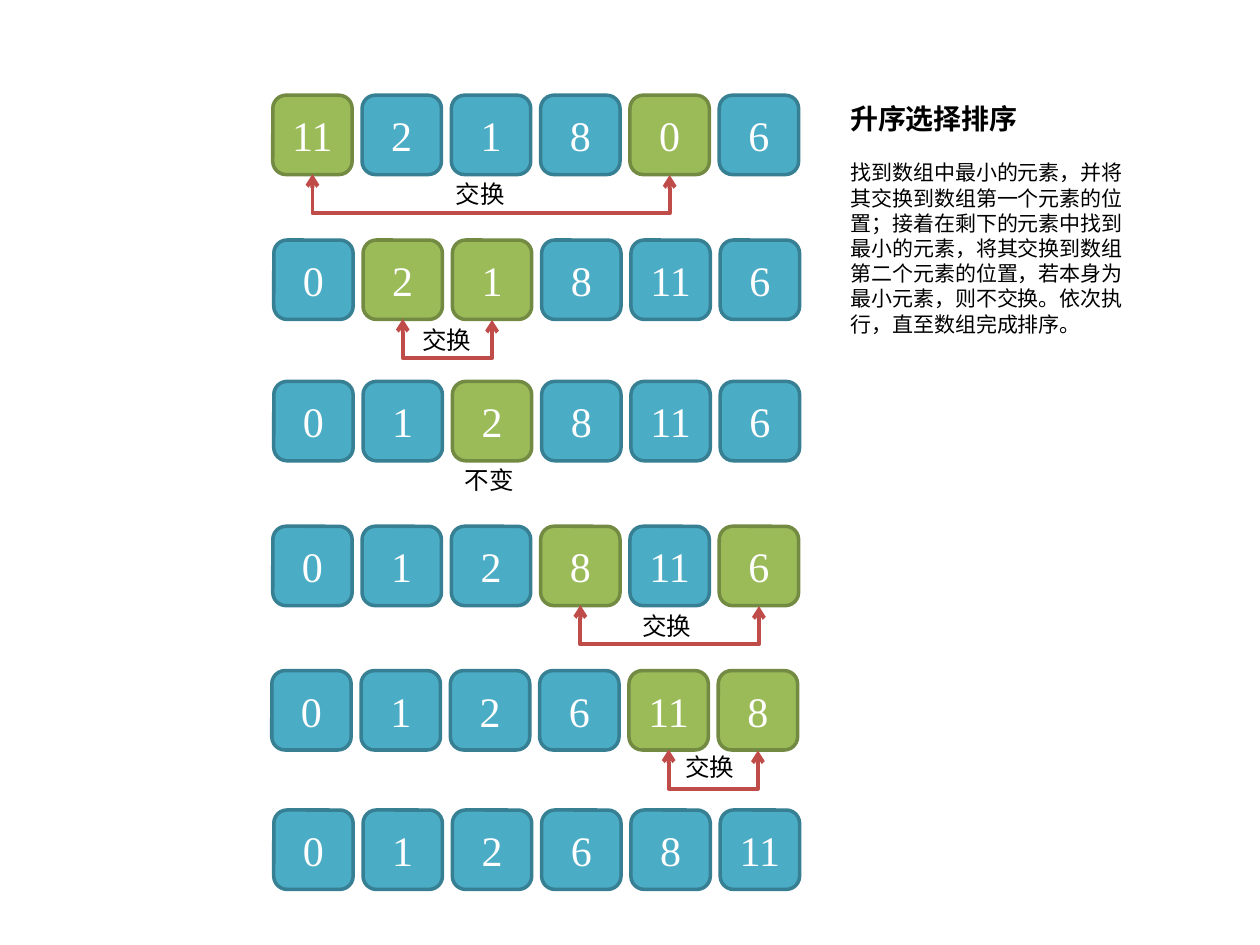
from dataclasses import dataclass

from lxml.etree import SubElement
from pptx import Presentation
from pptx.dml.color import RGBColor
from pptx.enum.shapes import MSO_CONNECTOR, MSO_SHAPE
from pptx.enum.text import MSO_ANCHOR, PP_ALIGN
from pptx.oxml.ns import qn
from pptx.util import Cm, Pt


@dataclass(frozen=True)
class Theme:
    blue: RGBColor = RGBColor(0x4B, 0xAC, 0xC6)
    blue_edge: RGBColor = RGBColor(0x37, 0x7F, 0x92)
    green: RGBColor = RGBColor(0x9B, 0xBB, 0x59)
    green_edge: RGBColor = RGBColor(0x73, 0x8A, 0x42)
    red: RGBColor = RGBColor(0xBF, 0x4C, 0x48)
    black: RGBColor = RGBColor(0, 0, 0)
    white: RGBColor = RGBColor(255, 255, 255)
    number_font: str = "Times New Roman"
    text_font: str = "Noto Sans CJK JP"
    number_size: int = 24
    title_size: int = 16
    label_size: int = 14
    body_size: int = 12
    cell_line: float = 2
    arrow_line: float = 2.25


theme = Theme()


def write(paragraph, text, *, size, font=theme.text_font, color=theme.black,
          bold=False, align=PP_ALIGN.LEFT, space_before=0):
    paragraph.alignment = align
    paragraph.line_spacing = Pt(size * 1.2)
    paragraph.space_before = Pt(space_before)
    run = paragraph.add_run()
    run.text = text
    run.font.size = Pt(size)
    run.font.bold = bold
    run.font.color.rgb = color
    run.font.name = font
    SubElement(run.font._element, qn("a:ea"), typeface=font)


def add_swap_arrow(slide, start, end, top, drop=0.79, offset=0.02):
    """Draw a U-shaped double arrow below two cells; lengths in cm."""
    # The elbow lies on its side, so it is built upright and turned by 270 degrees
    middle, half = (start + end) / 2, (end - start) / 2
    connector = slide.shapes.add_connector(
        MSO_CONNECTOR.ELBOW,
        Cm(middle + offset / 2), Cm(top - half),
        Cm(middle - offset / 2), Cm(top + half))
    connector.rotation = 270
    connector.line.color.rgb = theme.red
    connector.line.width = Pt(theme.arrow_line)
    properties = connector._element.spPr
    adjustments = properties.find(qn("a:prstGeom")).get_or_add_avLst()
    SubElement(adjustments, qn("a:gd"), name="adj1",
               fmla=f"val {round(drop / offset * 100000)}")
    line = properties.find(qn("a:ln"))
    for tag in ("a:headEnd", "a:tailEnd"):
        SubElement(line, qn(tag), type="arrow")
    SubElement(properties, qn("a:effectLst"))


presentation = Presentation()
presentation.slide_width = Cm(25.4)
presentation.slide_height = Cm(19.05)
slide = presentation.slides.add_slide(presentation.slide_layouts[6])

# Sorting steps: left, top, values, highlighted cells, label, label left, label top
cell_size, pitch = 1.6, 1.8
steps = [
    (5.5, 1.92, (11, 2, 1, 8, 0, 6), (0, 4), "交换", 8.94, 3.48),
    (5.52, 4.84, (0, 2, 1, 8, 11, 6), (1, 2), "交换", 8.26, 6.43),
    (5.52, 7.69, (0, 1, 2, 8, 11, 6), (2,), "不变", 9.12, 9.25),
    (5.5, 10.61, (0, 1, 2, 8, 11, 6), (3, 5), "交换", 12.7, 12.19),
    (5.48, 13.52, (0, 1, 2, 6, 11, 8), (4, 5), "交换", 13.56, 15.04),
    (5.52, 16.33, (0, 1, 2, 6, 8, 11), (), None, None, None),
]

for left, top, values, highlighted, label, label_left, label_top in steps:
    # Array cells
    for index, value in enumerate(values):
        active = index in highlighted
        shape = slide.shapes.add_shape(
            MSO_SHAPE.ROUNDED_RECTANGLE, Cm(left + index * pitch), Cm(top),
            Cm(cell_size), Cm(cell_size))
        shape.shadow.inherit = False
        shape.fill.solid()
        shape.fill.fore_color.rgb = theme.green if active else theme.blue
        shape.line.color.rgb = theme.green_edge if active else theme.blue_edge
        shape.line.width = Pt(theme.cell_line)
        shape.text_frame.vertical_anchor = MSO_ANCHOR.MIDDLE
        write(shape.text_frame.paragraphs[0], str(value), size=theme.number_size,
              font=theme.number_font, color=theme.white, align=PP_ALIGN.CENTER)

    # Arrow between the two swapped cells
    if len(highlighted) == 2:
        start, end = (left + index * pitch + cell_size / 2 for index in highlighted)
        add_swap_arrow(slide, start, end, top + cell_size)

    # Step label
    if label:
        label_box = slide.shapes.add_textbox(
            Cm(label_left), Cm(label_top), Cm(1.78), Cm(0.86))
        label_box.text_frame.word_wrap = True
        write(label_box.text_frame.paragraphs[0], label, size=theme.label_size)

# Explanation
explanation = slide.shapes.add_textbox(Cm(16.89), Cm(1.93), Cm(6.2), Cm(5.05))
explanation.text_frame.word_wrap = True
write(explanation.text_frame.paragraphs[0], "升序选择排序",
      size=theme.title_size, bold=True)
write(explanation.text_frame.add_paragraph(),
      "找到数组中最小的元素，并将其交换到数组第一个元素的位置；"
      "接着在剩下的元素中找到最小的元素，将其交换到数组第二个元素的位置，"
      "若本身为最小元素，则不交换。依次执行，直至数组完成排序。",
      size=theme.body_size, space_before=14)

presentation.save("out.pptx")
